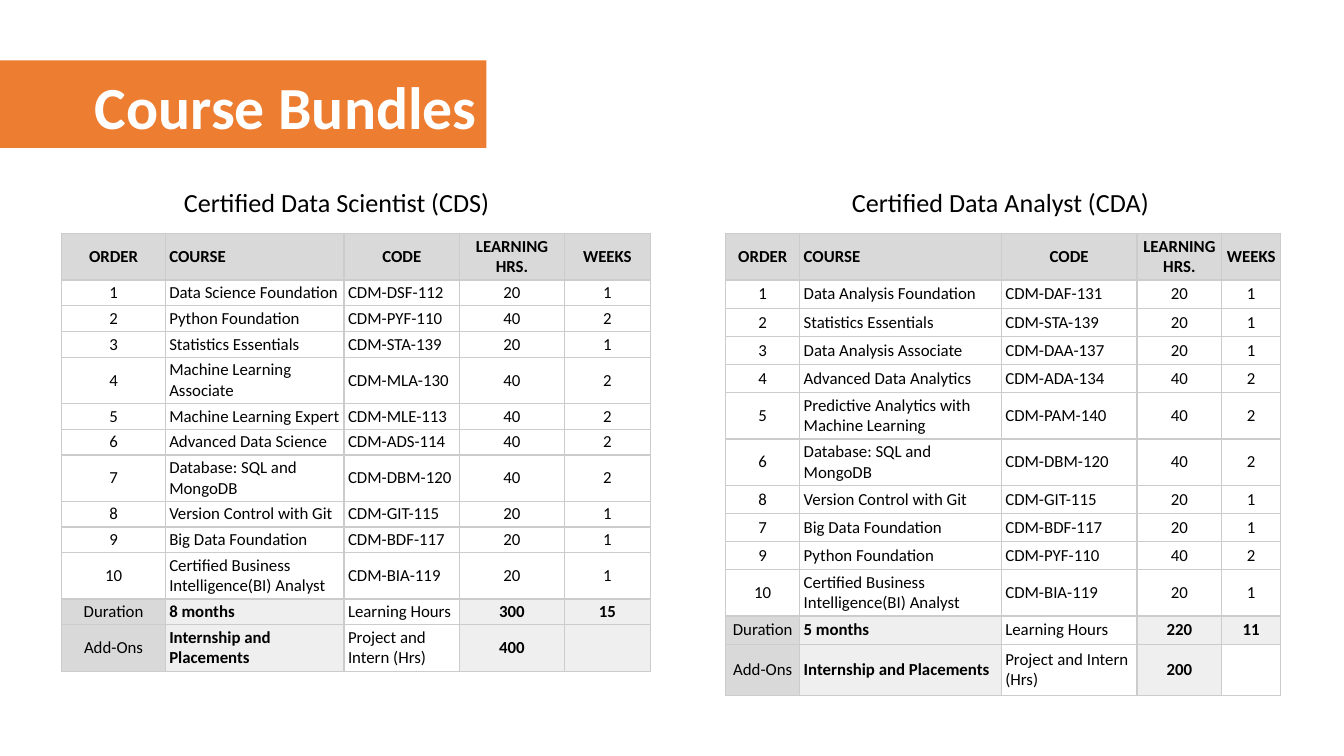
from pptx import Presentation
from pptx import util as u
from pptx.dml.color import RGBColor
from pptx.enum import text
from pptx.oxml import parse_xml
from pptx.oxml.ns import nsdecls

# Content
TITLE = "Course Bundles"
HEADER = ("ORDER", "COURSE", "CODE", "LEARNING HRS.", "WEEKS")
BI_ANALYST = ("10", "Certified Business Intelligence(BI) Analyst", "CDM-BIA-119", "20", "1")
ADD_ONS = ("Add-Ons", "Internship and Placements", "Project and Intern (Hrs)")

BUNDLES = [
    dict(
        caption="Certified Data Scientist (CDS)", caption_box=(1.27, 1.34, 2.51, 0.34),
        left=0.46, cols=(0.77, 1.33, 0.86, 0.78, 0.64),
        row_height=0.19, tall_rows={0: 0.34, 4: 0.34, 7: 0.34, 10: 0.34, 12: 0.34},
        unfilled_total=None,
        rows=[
            HEADER,
            ("1", "Data Science Foundation", "CDM-DSF-112", "20", "1"),
            ("2", "Python Foundation", "CDM-PYF-110", "40", "2"),
            ("3", "Statistics Essentials", "CDM-STA-139", "20", "1"),
            ("4", "Machine Learning Associate", "CDM-MLA-130", "40", "2"),
            ("5", "Machine Learning Expert", "CDM-MLE-113", "40", "2"),
            ("6", "Advanced Data Science", "CDM-ADS-114", "40", "2"),
            ("7", "Database: SQL and MongoDB", "CDM-DBM-120", "40", "2"),
            ("8", "Version Control with Git", "CDM-GIT-115", "20", "1"),
            ("9", "Big Data Foundation", "CDM-BDF-117", "20", "1"),
            BI_ANALYST,
            ("Duration", "8 months", "Learning Hours", "300", "15"),
            ADD_ONS + ("400", ""),
        ],
    ),
    dict(
        caption="Certified Data Analyst (CDA)", caption_box=(6.24, 1.34, 2.45, 0.34),
        left=5.4, cols=(0.55, 1.5, 1.01, 0.63, 0.44),
        row_height=0.21, tall_rows={0: 0.34, 5: 0.34, 6: 0.34, 10: 0.34, 12: 0.38},
        unfilled_total=(12, 4),
        rows=[
            HEADER,
            ("1", "Data Analysis Foundation", "CDM-DAF-131", "20", "1"),
            ("2", "Statistics Essentials", "CDM-STA-139", "20", "1"),
            ("3", "Data Analysis Associate", "CDM-DAA-137", "20", "1"),
            ("4", "Advanced Data Analytics", "CDM-ADA-134", "40", "2"),
            ("5", "Predictive Analytics with Machine Learning", "CDM-PAM-140", "40", "2"),
            ("6", "Database: SQL and MongoDB", "CDM-DBM-120", "40", "2"),
            ("8", "Version Control with Git", "CDM-GIT-115", "20", "1"),
            ("7", "Big Data Foundation", "CDM-BDF-117", "20", "1"),
            ("9", "Python Foundation", "CDM-PYF-110", "40", "2"),
            BI_ANALYST,
            ("Duration", "5 months", "Learning Hours", "220", "11"),
            ADD_ONS + ("200", ""),
        ],
    ),
]

THEME = dict(
    font="Calibri", title_size=32, caption_size=14, cell_size=9,
    accent="ED7D31", white="FFFFFF", ink="000000",
    head="D9D9D9", total="EFEFEF", border="CCCCCC",
)
TABLE_TOP = 1.74
FIRST_TOTAL_ROW = 11
COURSE_COL, CODE_COL = 1, 2


def color(name):
    return RGBColor.from_string(THEME[name])


def add_run(p, content, size, ink="ink", bold=False):
    r = p.add_run()
    r.text = content
    r.font.name = THEME["font"]
    r.font.size = u.Pt(THEME[size])
    r.font.bold = bold
    r.font.color.rgb = color(ink)


def set_borders(cell):
    tc_pr = cell._tc.get_or_add_tcPr()
    for side in ("lnL", "lnR", "lnT", "lnB"):
        tc_pr.append(parse_xml(
            f'<a:{side} {nsdecls("a")} w="{u.Pt(0.75)}"><a:solidFill>'
            f'<a:srgbClr val="{THEME["border"]}"/></a:solidFill></a:{side}>'))


def cell_fill(row, col, unfilled):
    is_total = row >= FIRST_TOTAL_ROW
    if row == 0 or (is_total and col == 0):
        return "head"
    if is_total and col != CODE_COL and (row, col) != unfilled:
        return "total"
    return None


# Title banner
def add_title(slide):
    s = slide.shapes.title
    s.left, s.top, s.width, s.height = map(u.Inches, (0, 0.45, 3.62, 0.65))
    s.fill.solid()
    s.fill.fore_color.rgb = color("accent")
    tf = s.text_frame
    tf.auto_size = text.MSO_AUTO_SIZE.NONE
    tf.word_wrap = True
    tf.vertical_anchor = text.MSO_ANCHOR.BOTTOM
    tf.margin_left = tf.margin_right = u.Inches(0.07)
    tf.margin_top = tf.margin_bottom = u.Inches(0.04)
    p = tf.paragraphs[0]
    p.alignment = text.PP_ALIGN.RIGHT
    p.line_spacing = 0.9
    add_run(p, TITLE, "title_size", "white", True)


# Caption above each table
def add_caption(slide, bundle):
    tf = slide.shapes.add_textbox(*map(u.Inches, bundle["caption_box"])).text_frame
    tf.word_wrap = False
    tf.auto_size = text.MSO_AUTO_SIZE.SHAPE_TO_FIT_TEXT
    add_run(tf.paragraphs[0], bundle["caption"], "caption_size")


# Course table
def add_bundle_table(slide, bundle):
    rows, cols = bundle["rows"], bundle["cols"]
    heights = [bundle["tall_rows"].get(i, bundle["row_height"]) for i in range(len(rows))]
    table = slide.shapes.add_table(
        len(rows), len(cols), u.Inches(bundle["left"]), u.Inches(TABLE_TOP),
        u.Inches(sum(cols)), u.Inches(sum(heights))).table
    table.first_row = table.horz_banding = False
    for column, width in zip(table.columns, cols):
        column.width = u.Inches(width)

    for i, (values, height) in enumerate(zip(rows, heights)):
        table.rows[i].height = u.Inches(height)
        for j, value in enumerate(values):
            cell = table.cell(i, j)
            cell.margin_left = cell.margin_right = u.Inches(0.03)
            cell.margin_top = cell.margin_bottom = u.Inches(0.02)
            cell.vertical_anchor = text.MSO_ANCHOR.MIDDLE
            set_borders(cell)
            fill = cell_fill(i, j, bundle["unfilled_total"])
            if fill:
                cell.fill.solid()
                cell.fill.fore_color.rgb = color(fill)
            else:
                cell.fill.background()
            p = cell.text_frame.paragraphs[0]
            left_aligned = j == COURSE_COL or (j == CODE_COL and i > 0)
            p.alignment = text.PP_ALIGN.LEFT if left_aligned else text.PP_ALIGN.CENTER
            if value:
                add_run(p, value, "cell_size", bold=i == 0 or fill == "total")


def main():
    prs = Presentation()
    prs.slide_width = u.Inches(10)
    prs.slide_height = prs.slide_width * 9 // 16
    slide = prs.slides.add_slide(prs.slide_layouts[5])
    add_title(slide)
    for bundle in reversed(BUNDLES):
        add_bundle_table(slide, bundle)
    for bundle in BUNDLES:
        add_caption(slide, bundle)
    prs.save("out.pptx")


if __name__ == "__main__":
    main()
